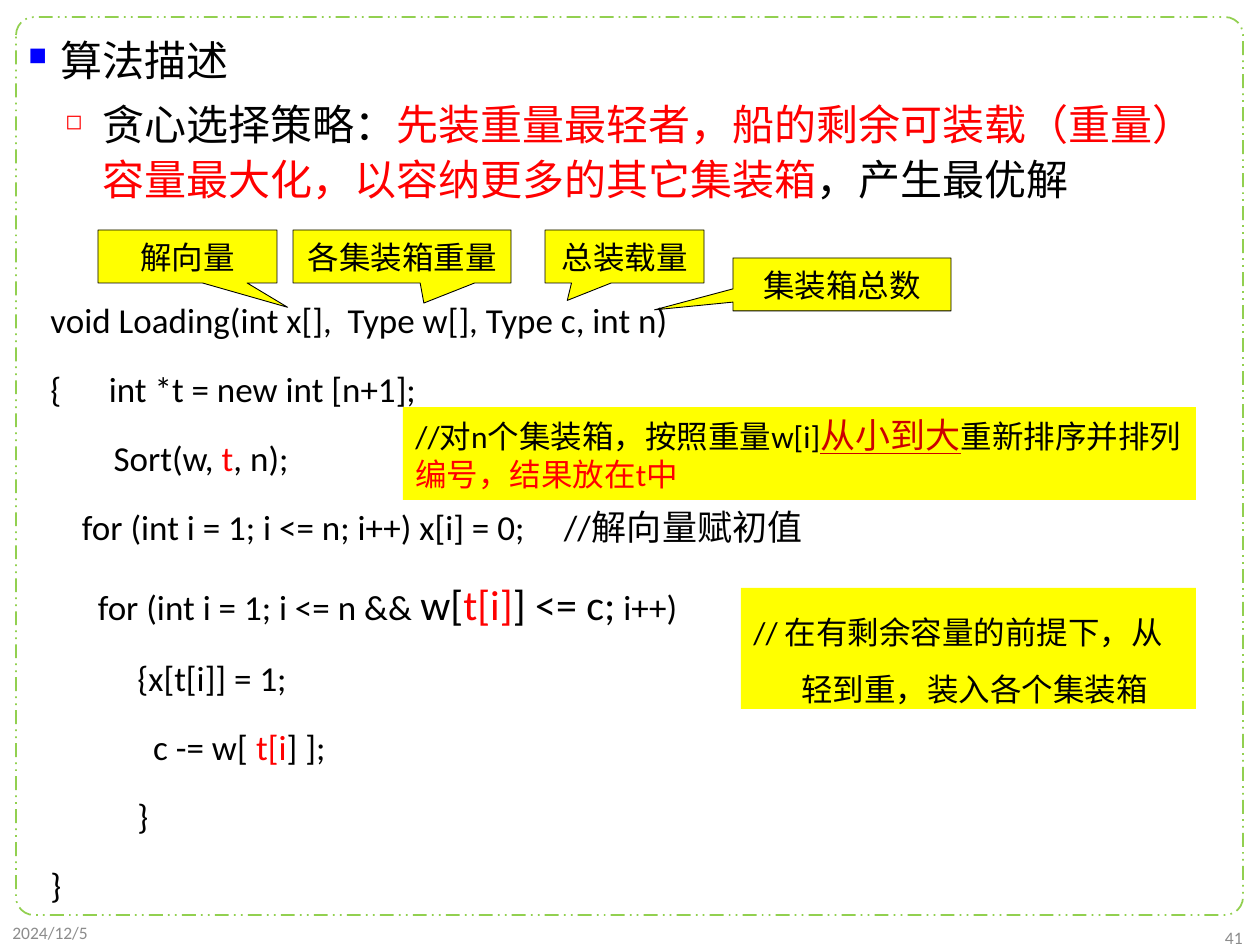
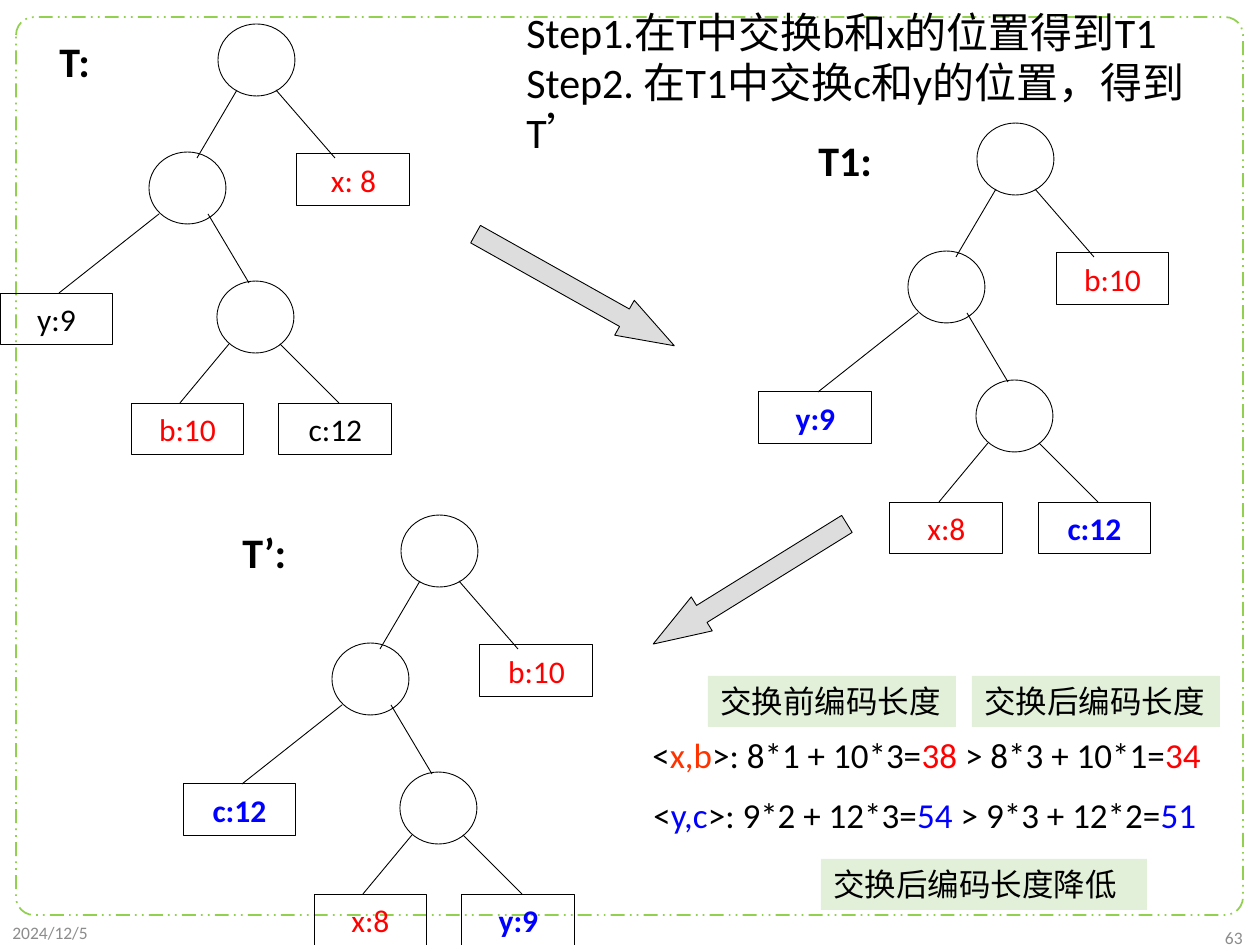
from dataclasses import dataclass

from lxml import etree
from pptx import Presentation
from pptx import util as u
from pptx.dml.color import RGBColor
from pptx.enum import dml, shapes, text
from pptx.oxml import ns


@dataclass(frozen=True)
class Theme:
    black: str = "000000"
    red: str = "FF0000"
    dark_red: str = "CC0000"
    orange: str = "FF3300"
    blue: str = "0000FF"
    grey: str = "8C8C8C"
    yellow: str = "FFFF00"
    mint: str = "E2F0D9"
    arrow: str = "DDDDDD"
    frame: str = "92D050"
    font: str = "Calibri"
    body_font: str = "Times New Roman"
    cjk_font: str = "Noto Sans CJK SC"
    heading: int = 24
    code: int = 20
    label: int = 18
    footer: int = 10


T = Theme()
PX = u.Inches(1) / 126
SHAPE = shapes.MSO_SHAPE
ALIGN = text.PP_ALIGN
ANCHOR = text.MSO_ANCHOR
RED, BLUE = {"color": T.red}, {"color": T.blue}
BIG = {"size": T.heading}
BOLD_BLUE = {"color": T.blue, "bold": True}

# Content: a paragraph is a list of runs, each a string or (string, style).
DATE = "2024/12/5"
OUTLINE = [
    ["算法描述"],
    ["贪心选择策略：",
     ("先装重量最轻者，船的剩余可装载（重量）容量最大化，以容纳更多的其它集装箱", RED),
     "，产生最优解"],
]
# bullet, colour, size %, left margin, hanging indent
BULLETS = [("■", T.blue, 60, 32, 32), ("◻", T.red, 50, 74, 37)]
CODE = [
    ["void Loading(int x[],  Type w[], Type c, int n)"],
    ["{      int *t = new int [n+1];"],
    ["        Sort(w, ", ("t", RED), ", n);"],
    ["    for (int i = 1; i <= n; i++) x[i] = 0;     //解向量赋初值"],
    ["      for (int i = 1; i <= n && ", ("w[", BIG), ("t[i]", BIG | RED),
     ("] <= c;", BIG), " i++)"],
    ["           {x[t[i]] = 1;"],
    ["             c -= w[ ", ("t[i", RED), "] ];"],
    ["           }"],
    ["}"],
]
CALLOUTS = [  # text, box, pointer tip
    ("集装箱总数", (733, 258, 218, 53), (-0.86, 0.48)),
    ("各集装箱重量", (293, 230, 218, 53), (0.10, 0.88)),
    ("解向量", (98, 230, 179, 53), (0.56, 0.96)),
    ("总装载量", (545, 230, 159, 53), (-0.36, 0.83)),
]
SORT_NOTE = [["//对n个集装箱，按照重量w[i]",
              ("从小到大", {"color": T.dark_red, "size": T.code, "underline": True}),
              "重新排序并排列", ("编号，结果放在t中", RED)]]
LOAD_NOTE = [["// 在有剩余容量的前提下，从轻到重，装入各个集装箱"]]

STEPS = [["Step1.在T中交换b和x的位置得到T1"],
         ["Step2. 在T1中交换c和y的位置，得到T’"]]
TREES = [  # name, offset, label width, leaves in the order of LEAF_SPOTS
    ("T:", (0, 0), 66, [("x: 8", RED), ("y:9", {}), ("b:10", RED), ("c:12", {})]),
    ("T1:", (759, 99), 89, [("b:10", RED), ("y:9", BOLD_BLUE), ("x:8", RED),
                            ("c:12", BOLD_BLUE)]),
    ("T’:", (183, 491), 79, [("b:10", RED), ("c:12", BOLD_BLUE), ("x:8", RED),
                             ("y:9", BOLD_BLUE)]),
]
LABEL_SPOT = (47, 29)
NODE_SPOTS = [(218, 24), (149, 152), (217, 281)]
LEAF_SPOTS = [(297, 154), (0, 293), (131, 403), (279, 403)]
EDGES = [
    ((237, 90), (197, 158)), ((276, 90), (335, 158)),
    ((159, 214), (59, 293)), ((208, 214), (249, 283)),
    ((229, 344), (180, 403)), ((280, 344), (339, 403)),
]
ARROWS = [((461, 270), 29.3), ((636, 564), 148.2)]
COSTS = [
    ((640, 727, 578, 55),
     ["<", ("x,b", {"color": T.orange}), ">: 8*1 + 10*3=", ("38", RED),
      " > 8*3 + 10*1=", ("34", RED)]),
    ((641, 787, 574, 55),
     ["<", ("y,c", BLUE), ">: 9*2 + 12*3=", ("54", BLUE),
      " > 9*3 + 12*2=", ("51", BLUE)]),
]
TAGS = [
    ("交换前编码长度", (708, 676, 248, 51), T.font),
    ("交换后编码长度", (972, 676, 248, 51), T.font),
    ("交换后编码长度降低", (821, 859, 326, 51), T.cjk_font),
]


def px(*values):
    return [u.Emu(round(v * PX)) for v in values]


def write(sp, paras, size, align=ALIGN.LEFT, anchor=ANCHOR.TOP, wrap=True,
          **defaults):
    """Fill a shape with paragraphs of styled runs and return its paragraphs."""
    tf = sp.text_frame
    tf.word_wrap, tf.vertical_anchor = wrap, anchor
    for i, runs in enumerate(paras):
        p = tf.add_paragraph() if i else tf.paragraphs[0]
        p.alignment = align
        for item in runs:
            words, style = (item, {}) if isinstance(item, str) else item
            look = {"color": T.black, "font": T.font, "size": size} | defaults | style
            r = p.add_run()
            r.text = words
            r.font.name = look["font"]
            r.font.size = u.Pt(look["size"])
            r.font.color.rgb = RGBColor.from_string(look["color"])
            r.font.bold = look.get("bold", False)
            r.font.underline = look.get("underline", False)
    return tf.paragraphs


def add_text(parent, box, paras, size, **options):
    return write(parent.shapes.add_textbox(*px(*box)), paras, size, **options)


def add_box(parent, kind, box, fill=None, line=T.black, width=0.5, adjust=()):
    sp = parent.shapes.add_shape(kind, *px(*box))
    sp.shadow.inherit = False
    if fill:
        sp.fill.solid()
        sp.fill.fore_color.rgb = RGBColor.from_string(fill)
    else:
        sp.fill.background()
    if line:
        sp.line.color.rgb = RGBColor.from_string(line)
        sp.line.width = u.Pt(width)
    else:
        sp.line.fill.background()
    for i, value in enumerate(adjust):
        sp.adjustments[i] = value
    return sp


def add_edge(parent, start, end):
    ln = parent.shapes.add_connector(shapes.MSO_CONNECTOR.STRAIGHT,
                                     *px(*start, *end))
    ln.line.color.rgb = RGBColor.from_string(T.black)
    ln.line.width = u.Pt(0.5)
    etree.SubElement(ln._element.spPr, ns.qn("a:effectLst"))


def hang(p, left, indent):
    pPr = p._p.get_or_add_pPr()
    pPr.set("marL", str(px(left)[0]))
    pPr.set("indent", str(-px(indent)[0]))
    return pPr


def add_bullet(p, char, color, percent, left, indent):
    pPr = hang(p, left, indent)
    clr = etree.SubElement(pPr, ns.qn("a:buClr"))
    etree.SubElement(clr, ns.qn("a:srgbClr"), val=color)
    etree.SubElement(pPr, ns.qn("a:buSzPct"), val=str(percent * 1000))
    etree.SubElement(pPr, ns.qn("a:buChar"), char=char)


def space(paras, line, before):
    for i, p in enumerate(paras):
        p.line_spacing = line
        if i:
            p.space_before = u.Pt(before)


def add_page(prs, number):
    """Add a blank slide with the dashed frame, date and page number."""
    s = prs.slides.add_slide(prs.slide_layouts[6])
    frame = add_box(s, SHAPE.ROUNDED_RECTANGLE, (16, 17, 1227, 898),
                    line=T.frame, width=1, adjust=[0.02])
    frame.line.dash_style = dml.MSO_LINE.DASH_DOT_DOT
    look = {"anchor": ANCHOR.MIDDLE, "color": T.grey}
    add_text(s, (0, 915, 284, 36), [[DATE]], T.footer, **look)
    add_text(s, (971, 921, 284, 33), [[number]], T.footer, align=ALIGN.RIGHT, **look)
    return s


def add_tree(s, name, offset, label_width, leaves):
    dx, dy = offset

    def at(spot):
        return spot[0] + dx, spot[1] + dy

    group = s.shapes.add_group_shape()
    for start, end in EDGES:
        add_edge(group, at(start), at(end))
    for spot in NODE_SPOTS:
        add_box(group, SHAPE.OVAL, (*at(spot), 77, 72))
    for spot, leaf in zip(LEAF_SPOTS, leaves):
        sp = add_box(group, SHAPE.RECTANGLE, (*at(spot), 113, 52))
        write(sp, [[leaf]], T.label, align=ALIGN.CENTER, anchor=ANCHOR.MIDDLE)
    add_text(group, (*at(LABEL_SPOT), label_width, 64), [[name]], T.heading,
             wrap=False, bold=True)


def build_algorithm(prs):
    s = add_page(prs, "41")
    outline = add_text(s, (16, 23, 1226, 892), OUTLINE, T.heading, font=T.body_font)
    space(outline, 1.1, 5)
    for p, bullet in zip(outline, BULLETS):
        add_bullet(p, *bullet)

    code = add_text(s, (38, 271, 1235, 764), CODE, T.code)
    space(code, 1.5, 3.5)
    for p in code:
        hang(p, 48, 48)

    for words, box, tip in CALLOUTS:
        sp = add_box(s, SHAPE.RECTANGULAR_CALLOUT, box, T.yellow, adjust=tip)
        write(sp, [[words]], T.label, align=ALIGN.CENTER, anchor=ANCHOR.MIDDLE)

    sp = add_box(s, SHAPE.RECTANGLE, (403, 407, 793, 93), T.yellow, line=None)
    write(sp, SORT_NOTE, T.label)
    sp = add_box(s, SHAPE.RECTANGLE, (741, 588, 455, 121), T.yellow, line=None)
    note = write(sp, LOAD_NOTE, T.label)
    space(note, 1.5, 0)
    hang(note[0], 48, 48)


def build_exchange(prs):
    s = add_page(prs, "63")
    add_text(s, (514, 0, 744, 115), STEPS, T.heading)
    for tree in TREES:
        add_tree(s, *tree)
    for box, runs in COSTS:
        add_text(s, box, [runs], T.code, wrap=False)
    for words, box, font in TAGS:
        sp = add_box(s, SHAPE.RECTANGLE, box, T.mint, line=None)
        write(sp, [[words]], T.label, font=font)
    for spot, angle in ARROWS:
        sp = add_box(s, SHAPE.RIGHT_ARROW, (*spot, 228, 40), T.arrow,
                     adjust=[0.5, 1.43])
        sp.rotation = angle


def main():
    prs = Presentation()
    prs.slide_width, prs.slide_height = px(1260, 945)
    build_algorithm(prs)
    build_exchange(prs)
    prs.save("out.pptx")


if __name__ == "__main__":
    main()
